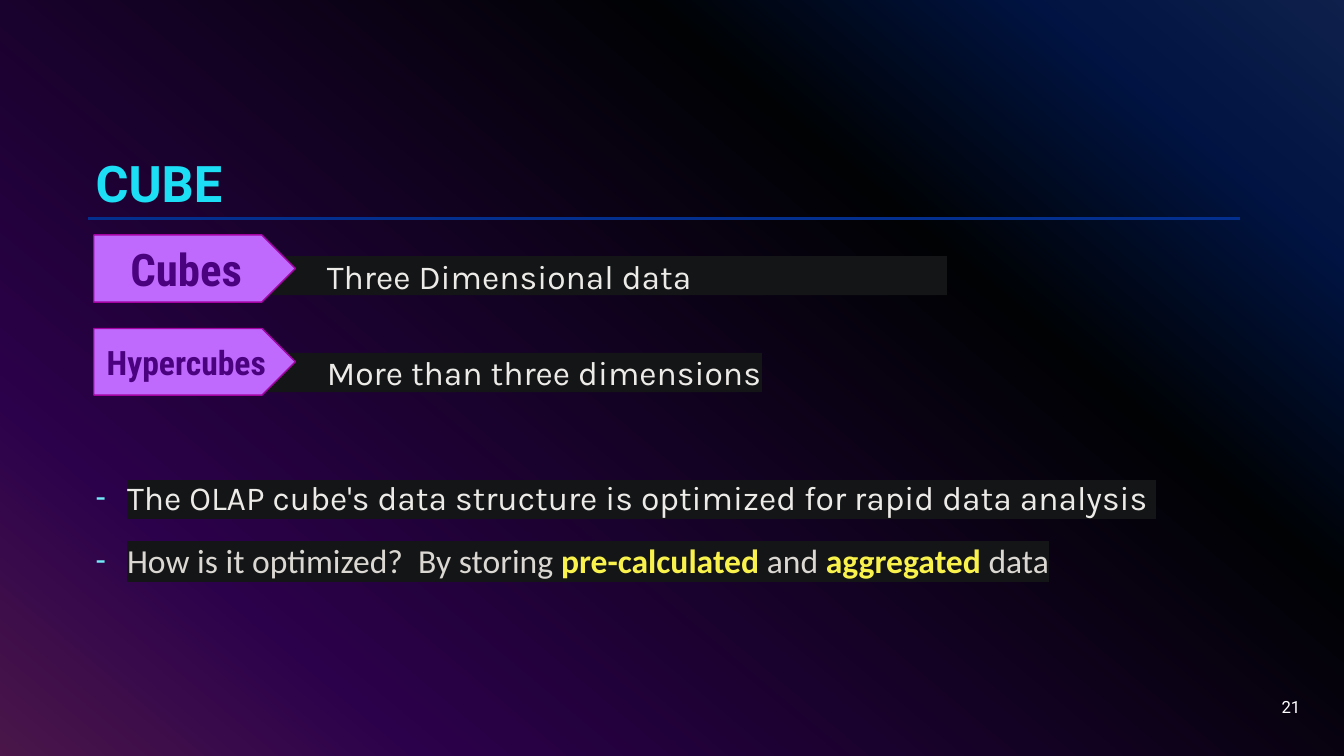
from lxml import etree
from pptx import Presentation
from pptx.dml.color import RGBColor
from pptx.enum.shapes import MSO_CONNECTOR, MSO_SHAPE
from pptx.enum.text import MSO_ANCHOR, PP_ALIGN
from pptx.oxml.ns import qn
from pptx.util import Pt

BLACK = RGBColor(0x00, 0x00, 0x00)
WHITE = RGBColor(0xFF, 0xFF, 0xFF)
CYAN = RGBColor(0x1C, 0xDF, 0xF5)
DASH_CYAN = RGBColor(0x73, 0xEB, 0xF9)
RULE_BLUE = RGBColor(0x03, 0x2F, 0x8F)
LILAC = RGBColor(0xBF, 0x69, 0xFD)
MAGENTA = RGBColor(0xA2, 0x03, 0xA1)
PURPLE = RGBColor(0x4A, 0x02, 0x7F)
BAND = RGBColor(0x13, 0x15, 0x16)
PALE = RGBColor(0xED, 0xEB, 0xE8)
GREY = RGBColor(0xDB, 0xD7, 0xD2)
YELLOW = RGBColor(0xFA, 0xF2, 0x4C)
BACKDROP = [(0, RGBColor(0x31, 0x6C, 0xFC)), (14, RGBColor(0x03, 0x43, 0xDF)),
            (31, RGBColor(0x02, 0x09, 0x0E)), (81, RGBColor(0x94, 0x05, 0xFC)),
            (100, RGBColor(0xFC, 0x4E, 0xFB))]

WIDTH, HEIGHT = 960, 540


def add_run(paragraph, text, *, font, size, color, bold=False, highlight=None):
    run = paragraph.add_run()
    run.text = text
    run.font.name = font
    run.font.size = Pt(size)
    run.font.bold = bold
    run.font.color.rgb = color
    if highlight is not None:
        mark = etree.Element(qn("a:highlight"))
        etree.SubElement(mark, qn("a:srgbClr"), val=str(highlight))
        run.font._element.find(qn("a:solidFill")).addnext(mark)


def write_line(frame, text, *, align=PP_ALIGN.LEFT, anchor=MSO_ANCHOR.MIDDLE,
               spacing=None, **run_format):
    frame.word_wrap = True
    frame.vertical_anchor = anchor
    paragraph = frame.paragraphs[0]
    paragraph.alignment = align
    paragraph.line_spacing = spacing
    add_run(paragraph, text, **run_format)


def add_panel(slide, kind, box, fill, line=None):
    panel = slide.shapes.add_shape(kind, *map(Pt, box))
    panel.shadow.inherit = False
    panel.fill.solid()
    panel.fill.fore_color.rgb = fill
    if line is None:
        panel.line.fill.background()
    else:
        panel.line.color.rgb = line
        panel.line.width = Pt(1)
    return panel


def add_text_box(slide, box):
    return slide.shapes.add_textbox(*map(Pt, box)).text_frame


def draw_backdrop(slide, box):
    # Diagonal gradient, dimmed by a translucent black sheet
    gradient = slide.background.fill
    gradient.gradient()
    gradient.gradient_angle = 230
    stops = slide.background._cSld.find(".//" + qn("a:gsLst"))
    for stop in list(stops):
        stops.remove(stop)
    for percent, color in BACKDROP:
        stop = etree.SubElement(stops, qn("a:gs"), pos=str(percent * 1000))
        etree.SubElement(stop, qn("a:srgbClr"), val=str(color))
    dimmer = add_panel(slide, MSO_SHAPE.RECTANGLE, box, BLACK)
    tint = dimmer._element.spPr.find(qn("a:solidFill"))[0]
    etree.SubElement(tint, qn("a:alpha"), val="70000")


def draw_heading(slide, box):
    left, top, width, height = box
    # Rule under the title
    rule_top = top + height + 3.6
    rule = slide.shapes.add_connector(MSO_CONNECTOR.STRAIGHT, Pt(left + 2), Pt(rule_top),
                                      Pt(left + width - 3.4), Pt(rule_top))
    rule.line.color.rgb = RULE_BLUE
    rule.line.width = Pt(2)
    etree.SubElement(rule._element.spPr, qn("a:effectLst"))
    # Title
    write_line(add_text_box(slide, box), "CUBE", anchor=MSO_ANCHOR.BOTTOM, spacing=0.5,
               font="Roboto", size=36, color=CYAN, bold=True)


def draw_term(slide, box, term, term_size, meaning, band_drop):
    left, top, width, height = box
    # Dark band with the meaning, tucked behind the tag
    band_left = left + 113
    band_box = (band_left, top + band_drop, left + width - band_left, 28)
    band = add_panel(slide, MSO_SHAPE.RECTANGLE, band_box, BAND)
    frame = band.text_frame
    frame.margin_left = Pt(53.5)
    frame.margin_right = frame.margin_top = frame.margin_bottom = 0
    write_line(frame, meaning, font="Karla", size=24, color=PALE)
    frame.word_wrap = False
    # Arrow-shaped tag with the term
    tag = add_panel(slide, MSO_SHAPE.PENTAGON, (left, top, 144, height), LILAC, MAGENTA)
    write_line(tag.text_frame, term, align=PP_ALIGN.CENTER, font="Roboto Condensed",
               size=term_size, color=PURPLE, bold=True)


def draw_points(slide, box):
    plain = dict(font="Calibri", color=GREY)
    strong = dict(font="Calibri", color=YELLOW, bold=True)
    points = [
        [("The OLAP cube's data structure is optimized for rapid data analysis ",
          dict(font="Karla", color=PALE))],
        [("How is it optimized?  By storing ", plain), ("pre-calculated", strong),
         (" and ", plain), ("aggregated", strong), (" data", plain)],
    ]
    frame = add_text_box(slide, box)
    frame.word_wrap = True
    for index, pieces in enumerate(points):
        point = frame.add_paragraph() if index else frame.paragraphs[0]
        # Dash bullet with a hanging indent
        layout = point._p.get_or_add_pPr()
        layout.set("marL", str(Pt(22.5)))
        layout.set("indent", str(-Pt(22.5)))
        dash_color = etree.SubElement(layout, qn("a:buClr"))
        etree.SubElement(dash_color, qn("a:srgbClr"), val=str(DASH_CYAN))
        etree.SubElement(layout, qn("a:buFont"), typeface="Calibri")
        etree.SubElement(layout, qn("a:buChar"), char="-")
        point.line_spacing = 1.2
        if index:
            point.space_before = Pt(10)
        for text, style in pieces:
            add_run(point, text, size=24, highlight=BAND, **style)


def draw_page_number(slide, box):
    write_line(add_text_box(slide, box), "21", align=PP_ALIGN.RIGHT,
               font="Roboto", size=12, color=WHITE)


def main():
    deck = Presentation()
    deck.slide_width, deck.slide_height = Pt(WIDTH), Pt(HEIGHT)
    slide = deck.slides.add_slide(deck.slide_layouts[6])
    draw_backdrop(slide, (0, 0, WIDTH, HEIGHT))
    draw_heading(slide, (61.2, 48.2, 828, 104.4))
    draw_term(slide, (67, 167.8, 609.4, 48), "Cubes", 32, "Three Dimensional data", 15.1)
    draw_term(slide, (67, 234.7, 477.3, 47.5), "Hypercubes", 24,
              "More than three dimensions", 17.4)
    draw_points(slide, (61.2, 331.5, 837.4, 100))
    draw_page_number(slide, (720, 490.3, 216, 28.8))
    deck.save("out.pptx")


if __name__ == "__main__":
    main()
